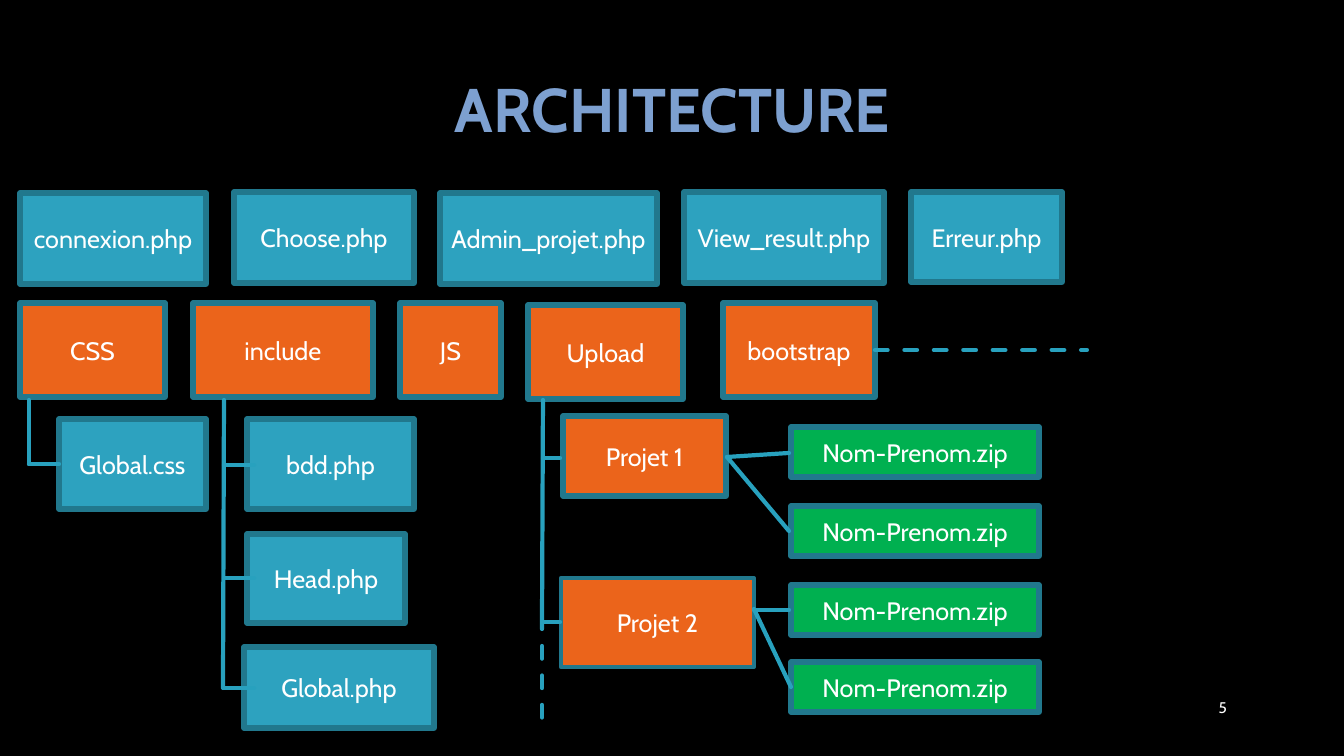
from dataclasses import dataclass

from lxml import etree
from pptx import Presentation
from pptx import util as u
from pptx.dml.color import RGBColor
from pptx.enum import dml, shapes, text
from pptx.oxml import ns

PIXEL = 914400 / 100.8
FONT = "Cabin"
BLACK = RGBColor(0x00, 0x00, 0x00)
WHITE = RGBColor(0xFF, 0xFF, 0xFF)
TITLE_BLUE = RGBColor(0x7D, 0xA0, 0xD0)
FILE_BLUE = RGBColor(0x2D, 0xA2, 0xBF)
FOLDER_ORANGE = RGBColor(0xEB, 0x64, 0x1B)
ZIP_GREEN = RGBColor(0x00, 0xB0, 0x50)
BORDER = RGBColor(0x21, 0x78, 0x8D)
LINK = RGBColor(0x28, 0xA1, 0xBE)


@dataclass(frozen=True)
class Node:
    label: str
    left: int
    top: int
    width: int
    height: int
    fill: RGBColor = FILE_BLUE
    border: float = 3.78


@dataclass(frozen=True)
class Link:
    x1: int
    y1: int
    x2: int
    y2: int
    dashed: bool = False


def px(*values: int) -> list[u.Emu]:
    return [u.Emu(round(value * PIXEL)) for value in values]


def write(shape, words: str, align, size: float, color: RGBColor, bold: bool = False):
    """Put one formatted, vertically centred line of text in a shape."""
    frame = shape.text_frame
    frame.word_wrap = True
    frame.vertical_anchor = text.MSO_ANCHOR.MIDDLE
    para = frame.paragraphs[0]
    para.alignment = align
    span = para.add_run()
    span.text = words
    span.font.color.rgb = color
    for name, value in {"name": FONT, "size": u.Pt(size), "bold": bold}.items():
        setattr(span.font, name, value)
    return frame


def draw_node(page, node: Node) -> None:
    box = page.shapes.add_shape(
        shapes.MSO_SHAPE.RECTANGLE, *px(node.left, node.top, node.width, node.height))
    box.shadow.inherit = False
    box.fill.solid()
    box.fill.fore_color.rgb = node.fill
    box.line.color.rgb = BORDER
    box.line.width = u.Pt(node.border)
    frame = write(box, node.label, text.PP_ALIGN.CENTER, 18, WHITE)
    frame.margin_left = frame.margin_right = 0


def draw_link(page, link: Link) -> None:
    line = page.shapes.add_connector(
        shapes.MSO_CONNECTOR.STRAIGHT, *px(link.x1, link.y1, link.x2, link.y2))
    line.line.color.rgb = LINK
    line.line.width = u.Pt(3)
    if link.dashed:
        line.line.dash_style = dml.MSO_LINE.DASH
    properties = line.element.spPr
    properties.find(ns.qn("a:ln")).set("cap", "rnd")
    etree.SubElement(properties, ns.qn("a:effectLst"))


NODES = [
    # Pages at the root
    Node("connexion.php", 20, 193, 186, 91),
    Node("Choose.php", 234, 192, 180, 91),
    Node("Admin_projet.php", 440, 193, 217, 91),
    Node("View_result.php", 684, 192, 200, 91),
    Node("Erreur.php", 911, 192, 151, 90),
    # Folders
    Node("CSS", 20, 303, 145, 94, FOLDER_ORANGE),
    Node("include", 193, 303, 180, 94, FOLDER_ORANGE),
    Node("JS", 400, 303, 101, 94, FOLDER_ORANGE),
    Node("Upload", 528, 305, 155, 94, FOLDER_ORANGE),
    Node("bootstrap", 723, 303, 152, 94, FOLDER_ORANGE),
    # Folder contents
    Node("Global.css", 59, 419, 147, 90),
    Node("bdd.php", 247, 419, 167, 90),
    Node("Head.php", 247, 534, 158, 89),
    Node("Global.php", 244, 647, 190, 81),
    Node("Projet 1", 563, 416, 163, 80, FOLDER_ORANGE),
    Node("Projet 2", 561, 578, 193, 89, FOLDER_ORANGE, 3),
    # Uploaded archives
    *(Node("Nom-Prenom.zip", 791, top, 248, 50, ZIP_GREEN) for top in (427, 506, 585, 662)),
]

LINKS = [
    # CSS
    Link(29, 400, 29, 464),
    Link(29, 464, 59, 464),
    # include
    Link(224, 400, 223, 688),
    *(Link(224, y, 254, y) for y in (465, 578, 688)),
    # Upload
    Link(543, 400, 542, 629),
    *(Link(543, y, 560, y) for y in (458, 622)),
    # Further content
    Link(875, 350, 1087, 350, dashed=True),
    Link(542, 646, 542, 721, dashed=True),
    # Projects to archives
    *(Link(727, 457, 789, y) for y in (453, 531)),
    Link(754, 610, 789, 610),
    Link(754, 609, 791, 687),
]

deck = Presentation()
deck.slide_width, deck.slide_height = px(1344, 756)
page = deck.slides.add_slide(deck.slide_layouts.get_by_name("Title Only"))
page.background.fill.solid()
page.background.fill.fore_color.rgb = BLACK

# Title
title = page.shapes.title
title.left, title.top, title.width, title.height = px(93, 40, 1159, 146)
heading = write(title, "ARCHITECTURE", text.PP_ALIGN.CENTER, 44, TITLE_BLUE, bold=True)
heading.paragraphs[0].line_spacing = 0.9

# File tree
for node in NODES:
    draw_node(page, node)
for link in LINKS:
    draw_link(page, link)

# Slide number
number = page.shapes.add_textbox(*px(935, 687, 302, 40))
write(number, "5", text.PP_ALIGN.RIGHT, 11, WHITE)

deck.save("out.pptx")
